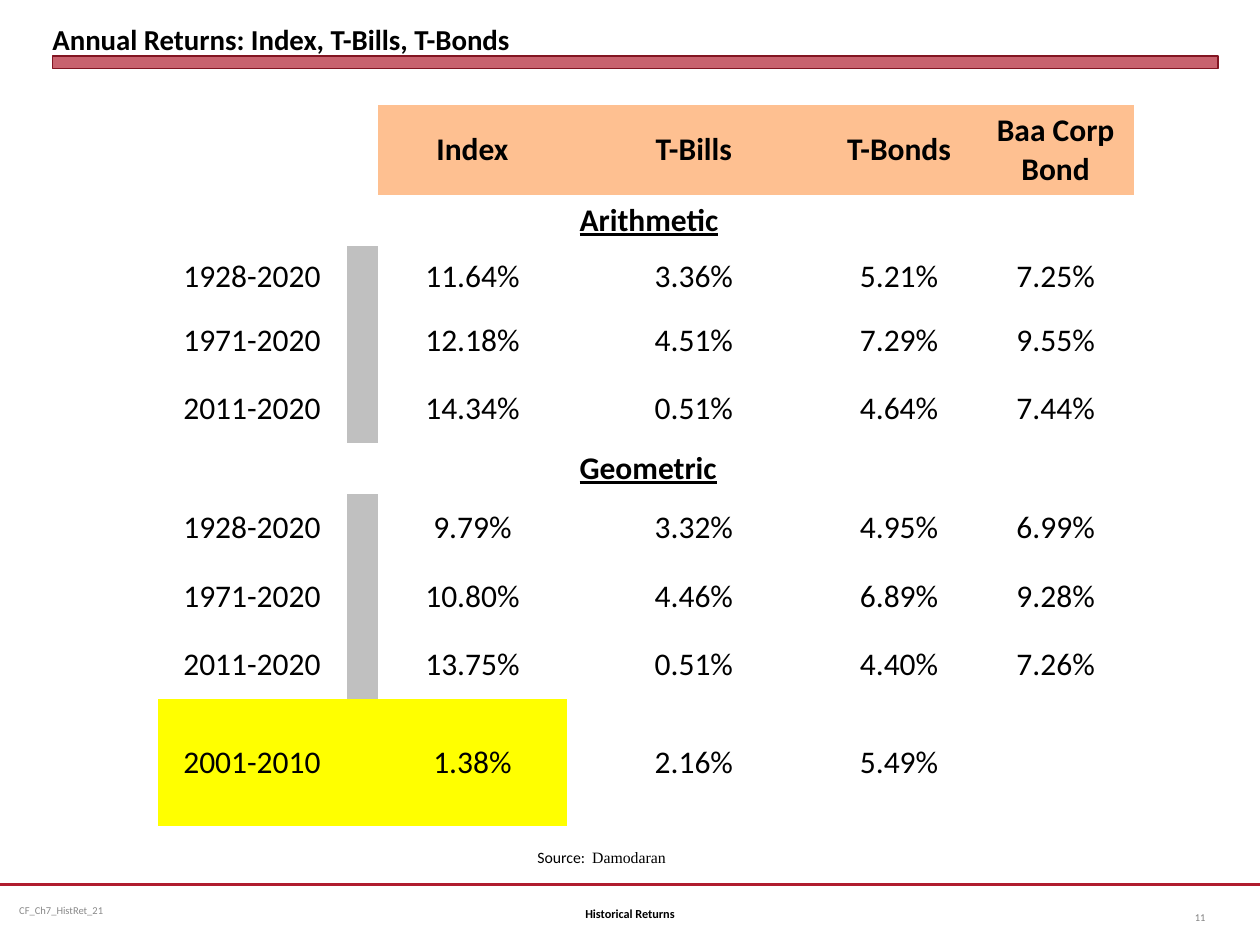
from lxml import etree
from pptx import Presentation
from pptx.dml.color import RGBColor
from pptx.enum.shapes import MSO_CONNECTOR, MSO_SHAPE
from pptx.enum.text import MSO_ANCHOR, MSO_AUTO_SIZE, PP_ALIGN
from pptx.oxml.ns import qn
from pptx.util import Pt

BLACK, CRIMSON, HEADER = "000000", "B01C2E", "FEC091"
GRAY, YELLOW = "C0C0C0", "FFFF00"
NO_STYLE = "{2D5ABB26-0587-4C30-8999-92F81FD0307C}"

COLUMN_WIDTHS = [108, 18, 108, 145, 89.5, 89.5]
ROW_HEIGHTS = [51.5, 29, 34.5, 39, 39, 29, 39, 39, 39, 73]
RETURNS = [
    ["", "", "Index", "T-Bills", "T-Bonds", "Baa Corp Bond"],
    ["", "", "", "Arithmetic", "", ""],
    ["1928-2020", "", "11.64%", "3.36%", "5.21%", "7.25%"],
    ["1971-2020", "", "12.18%", "4.51%", "7.29%", "9.55%"],
    ["2011-2020", "", "14.34%", "0.51%", "4.64%", "7.44%"],
    ["", "", "", "Geometric", "", ""],
    ["1928-2020", "", "9.79%", "3.32%", "4.95%", "6.99%"],
    ["1971-2020", "", "10.80%", "4.46%", "6.89%", "9.28%"],
    ["2011-2020", "", "13.75%", "0.51%", "4.40%", "7.26%"],
    ["2001-2010", "", "1.38%", "2.16%", "5.49%", ""],
]
SECTION_ROWS = (1, 5)
LAST_ROW = len(RETURNS) - 1


def color(hex_string):
    return RGBColor.from_string(hex_string)


def format_span(span, size, hex_string=BLACK, bold=False, name="Calibri"):
    span.font.size = Pt(size)
    span.font.name = name
    span.font.bold = bold
    span.font.color.rgb = color(hex_string)


def add_text(page, box, text, size, hex_string=BLACK, bold=False,
             align=PP_ALIGN.LEFT):
    frame = page.shapes.add_textbox(*map(Pt, box)).text_frame
    frame.word_wrap = True
    frame.vertical_anchor = MSO_ANCHOR.MIDDLE
    frame.text = text
    para = frame.paragraphs[0]
    para.alignment = align
    format_span(para.runs[0], size, hex_string, bold)
    return frame


def add_heading(page, left, top, width, height):
    # Title
    title = page.shapes.title
    title.left, title.top, title.width, title.height = map(
        Pt, (left, top, width, height))
    frame = title.text_frame
    frame.margin_left = frame.margin_right = 0
    frame.margin_top = frame.margin_bottom = 0
    frame.auto_size = MSO_AUTO_SIZE.NONE
    frame.vertical_anchor = MSO_ANCHOR.BOTTOM
    frame.text = "Annual Returns: Index, T-Bills, T-Bonds"
    para = frame.paragraphs[0]
    para.alignment = PP_ALIGN.LEFT
    format_span(para.runs[0], 16.5, bold=True)

    # Translucent bar under the title
    bar = page.shapes.add_shape(MSO_SHAPE.RECTANGLE, Pt(left),
                                Pt(top + height), Pt(width), Pt(7))
    bar.shadow.inherit = False
    bar.fill.solid()
    bar.fill.fore_color.rgb = color(CRIMSON)
    tint = bar.fill._xPr.find(qn("a:solidFill"))[0]
    etree.SubElement(tint, qn("a:alpha"), val="69000")
    bar.line.color.rgb = color("821522")
    bar.line.width = Pt(0)


def cell_fill(row, column):
    if row == 0 and column >= 2:
        return HEADER
    if row == LAST_ROW and column <= 2:
        return YELLOW
    if column == 1 and row > 0 and row not in SECTION_ROWS:
        return GRAY
    return None


def add_returns_table(page, left, top):
    table = page.shapes.add_table(
        len(ROW_HEIGHTS), len(COLUMN_WIDTHS), Pt(left), Pt(top),
        Pt(sum(COLUMN_WIDTHS)), Pt(sum(ROW_HEIGHTS))).table
    table.first_row = table.horz_banding = False
    table._tbl.tblPr.find(qn("a:tableStyleId")).text = NO_STYLE
    for column, width in zip(table.columns, COLUMN_WIDTHS):
        column.width = Pt(width)
    for row, height in zip(table.rows, ROW_HEIGHTS):
        row.height = Pt(height)

    for r, values in enumerate(RETURNS):
        for c, value in enumerate(values):
            cell = table.cell(r, c)
            fill = cell_fill(r, c)
            if fill:
                cell.fill.solid()
                cell.fill.fore_color.rgb = color(fill)
            else:
                cell.fill.background()
            if not value:
                continue
            section = r in SECTION_ROWS
            cell.text = value
            cell.vertical_anchor = MSO_ANCHOR.MIDDLE
            para = cell.text_frame.paragraphs[0]
            para.alignment = PP_ALIGN.LEFT if section else PP_ALIGN.CENTER
            format_span(para.runs[0], 18, bold=section or r == 0)
            para.runs[0].font.underline = section


def add_source(page, left, top, width, height):
    frame = add_text(page, (left, top, width, height), "Source:  ", 9)
    frame.word_wrap = False
    frame.vertical_anchor = MSO_ANCHOR.TOP
    frame.auto_size = MSO_AUTO_SIZE.SHAPE_TO_FIT_TEXT
    span = frame.paragraphs[0].add_run()
    span.text = "Damodaran"
    format_span(span, 9, name="Times New Roman")


def add_footer(page, top, width):
    # Rule across the page
    rule = page.shapes.add_connector(MSO_CONNECTOR.STRAIGHT, 0, Pt(top),
                                     Pt(width), Pt(top))
    rule.line.color.rgb = color(CRIMSON)
    rule.line.width = Pt(1.25)
    etree.SubElement(rule._element.spPr, qn("a:effectLst"))

    # File label, topic and page number
    label = add_text(page, (6, top, 186, 29), "CF_Ch7_HistRet_21", 6, "898989")
    label.margin_left = label.margin_right = Pt(5)
    add_text(page, (246, top + 2, 228, 29), "Historical Returns", 7,
             bold=True, align=PP_ALIGN.CENTER)
    add_text(page, (660, top + 4, 36, 29), "11", 6, "808080",
             align=PP_ALIGN.RIGHT)


def main():
    deck = Presentation()
    deck.slide_width, deck.slide_height = Pt(720), Pt(540)
    page = deck.slides.add_slide(deck.slide_layouts[5])
    add_heading(page, 30, 3.5, 666, 28.5)
    add_returns_table(page, 90, 60)
    add_source(page, 300, 481, 88.5, 18)
    add_footer(page, 505.5, 720)
    deck.save("out.pptx")


if __name__ == "__main__":
    main()
